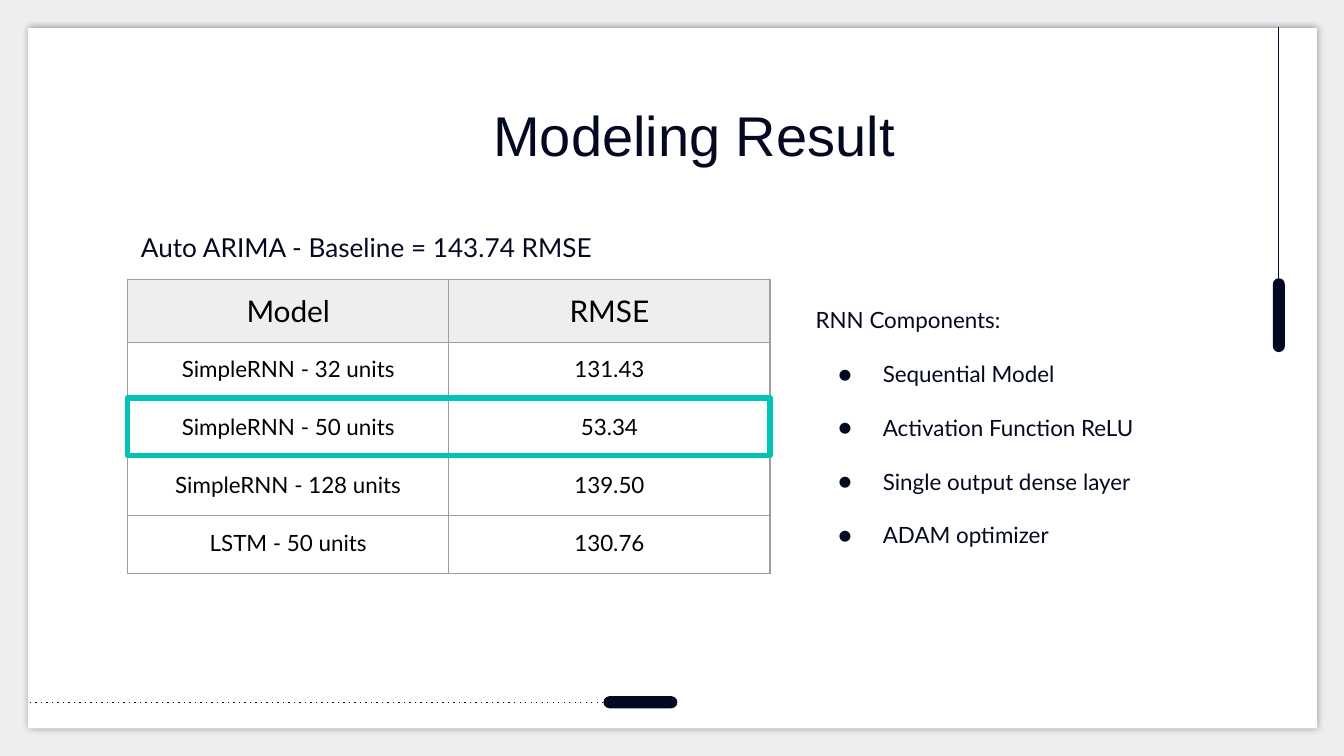
from lxml import etree
from pptx import Presentation
from pptx.dml.color import RGBColor
from pptx.enum.shapes import MSO_CONNECTOR as Conn, MSO_SHAPE as Kind
from pptx.enum.text import PP_ALIGN as Align
from pptx.oxml import parse_xml
from pptx.oxml.ns import qn
from pptx.util import Inches, Pt

NS = 'xmlns:a="http://schemas.openxmlformats.org/drawingml/2006/main"'
NAVY, GRAY, TEAL, EDGE = "030920", "EEEEEE", "00C3B1", "9E9E9E"
hue = RGBColor.from_string


def write(para, text, size, color=NAVY, face="Lato", align=Align.LEFT):
    para.alignment = align
    run = para.add_run()
    run.text = text
    style = {"size": Pt(size), "name": face, "bold": False}
    for key, value in style.items():
        setattr(run.font, key, value)
    run.font.color.rgb = hue(color)


def add_box(left, top, width, height):
    box = slide.shapes.add_textbox(*map(Inches, (left, top, width, height)))
    frame = box.text_frame
    style = {"word_wrap": True, "margin_left": Inches(0.1), "margin_right": Inches(0.1),
             "margin_top": Inches(0.1), "margin_bottom": Inches(0.1)}
    for key, value in style.items():
        setattr(frame, key, value)
    return frame


# Widescreen page, 16 to 9
deck = Presentation()
deck.slide_width, deck.slide_height = Inches(10), Inches(10 * 9 / 16)
slide = deck.slides.add_slide(deck.slide_layouts[6])
slide.background.fill.solid()
slide.background.fill.fore_color.rgb = hue(GRAY)

# White panel with a soft shadow
panel = slide.shapes.add_shape(Kind.RECTANGLE, Inches(0.21), Inches(0.21), Inches(9.59), Inches(5.21))
panel.shadow.inherit = False
panel.fill.solid()
panel.fill.fore_color.rgb = hue("FFFFFF")
panel.line.fill.background()
glow = parse_xml(
    f'<a:outerShdw {NS} blurRad="{Pt(3.4)}" dist="{Pt(0.8)}" dir="0" algn="bl" rotWithShape="0">'
    '<a:srgbClr val="2A3250"><a:alpha val="50000"/></a:srgbClr></a:outerShdw>')
panel._element.spPr.find(qn("a:effectLst")).append(glow)

# Pills, each with a line running to the panel's edge
for left, top, width, height, side, end, dash in [
    (9.47, 2.07, 0.09, 0.55, 0, (9.51, 0.2), None),
    (4.49, 5.18, 0.55, 0.09, 1, (0.2, 5.23), "dot"),
]:
    pill = slide.shapes.add_shape(Kind.ROUNDED_RECTANGLE, *map(Inches, (left, top, width, height)))
    pill.adjustments[0] = 0.5
    pill.shadow.inherit = False
    pill.fill.solid()
    pill.fill.fore_color.rgb = hue(NAVY)
    pill.line.fill.background()
    x, y = map(Inches, end)
    line = slide.shapes.add_connector(Conn.STRAIGHT, x, y, x, y)
    line.begin_connect(pill, side)
    # Keep the line straight through the pill's middle
    if side == 0:
        line.end_x = line.begin_x
    else:
        line.end_y = line.begin_y
    line.line.color.rgb = hue(NAVY)
    line.line.width = Pt(0.75)
    if dash:
        etree.SubElement(line._element.spPr.find(qn("a:ln")), qn("a:prstDash"), val=dash)
    etree.SubElement(line._element.spPr, qn("a:effectLst"))

# Title and baseline
title = add_box(0.95, 0.65, 8.43, 0.63)
write(title.paragraphs[0], "Modeling Result", 30, face="Arial", align=Align.CENTER)
base = add_box(0.95, 1.62, 3.99, 0.46)
write(base.paragraphs[0], "Auto ARIMA - Baseline = 143.74 RMSE", 14)

# Results table
rows = [
    ("Model", "RMSE"),
    ("SimpleRNN - 32 units", "131.43"),
    ("SimpleRNN - 50 units", "53.34"),
    ("SimpleRNN - 128 units", "139.50"),
    ("LSTM - 50 units", "130.76"),
]
grid = slide.shapes.add_table(len(rows), 2, Inches(0.95), Inches(2.08), Inches(4.78), Inches(2.15)).table
grid.first_row = grid.horz_banding = False
for col in grid.columns:
    col.width = Inches(2.39)
for r, row in enumerate(rows):
    grid.rows[r].height = Inches(0.43)
    for c, text in enumerate(row):
        cell = grid.cell(r, c)
        for side in ("left", "right", "top", "bottom"):
            setattr(cell, f"margin_{side}", Inches(0.1))
        write(cell.text_frame.paragraphs[0], text, 12 if r else 16, "000000", align=Align.CENTER)
        for tag in ("lnL", "lnR", "lnT", "lnB"):
            cell._tc.get_or_add_tcPr().append(parse_xml(
                f'<a:{tag} {NS} w="{Pt(0.75)}"><a:solidFill><a:srgbClr val="{EDGE}"/>'
                f'</a:solidFill></a:{tag}>'))
        if r:
            cell.fill.background()
        else:
            cell.fill.solid()
            cell.fill.fore_color.rgb = hue(GRAY)

# Component list
parts = add_box(5.97, 2.18, 3.35, 1.97)
write(parts.paragraphs[0], "RNN Components:", 12)
for text in ("Sequential Model", "Activation Function ReLU", "Single output dense layer", "ADAM optimizer"):
    para = parts.add_paragraph()
    para.space_before = Pt(14.4)
    props = para._p.get_or_add_pPr()
    props.set("marL", str(Inches(0.5)))
    props.set("indent", str(Inches(-0.33)))
    tint = etree.SubElement(props, qn("a:buClr"))
    etree.SubElement(tint, qn("a:srgbClr"), val=NAVY)
    etree.SubElement(props, qn("a:buFont"), typeface="Lato")
    etree.SubElement(props, qn("a:buChar"), char="●")
    write(para, text, 12)

# Frame around the best model
frame = slide.shapes.add_shape(Kind.RECTANGLE, Inches(0.95), Inches(2.96), Inches(4.78), Inches(0.43))
frame.shadow.inherit = False
frame.fill.background()
frame.line.color.rgb = hue(TEAL)
frame.line.width = Pt(3)
etree.SubElement(frame._element.spPr.find(qn("a:ln")), qn("a:round"))

deck.save("out.pptx")
